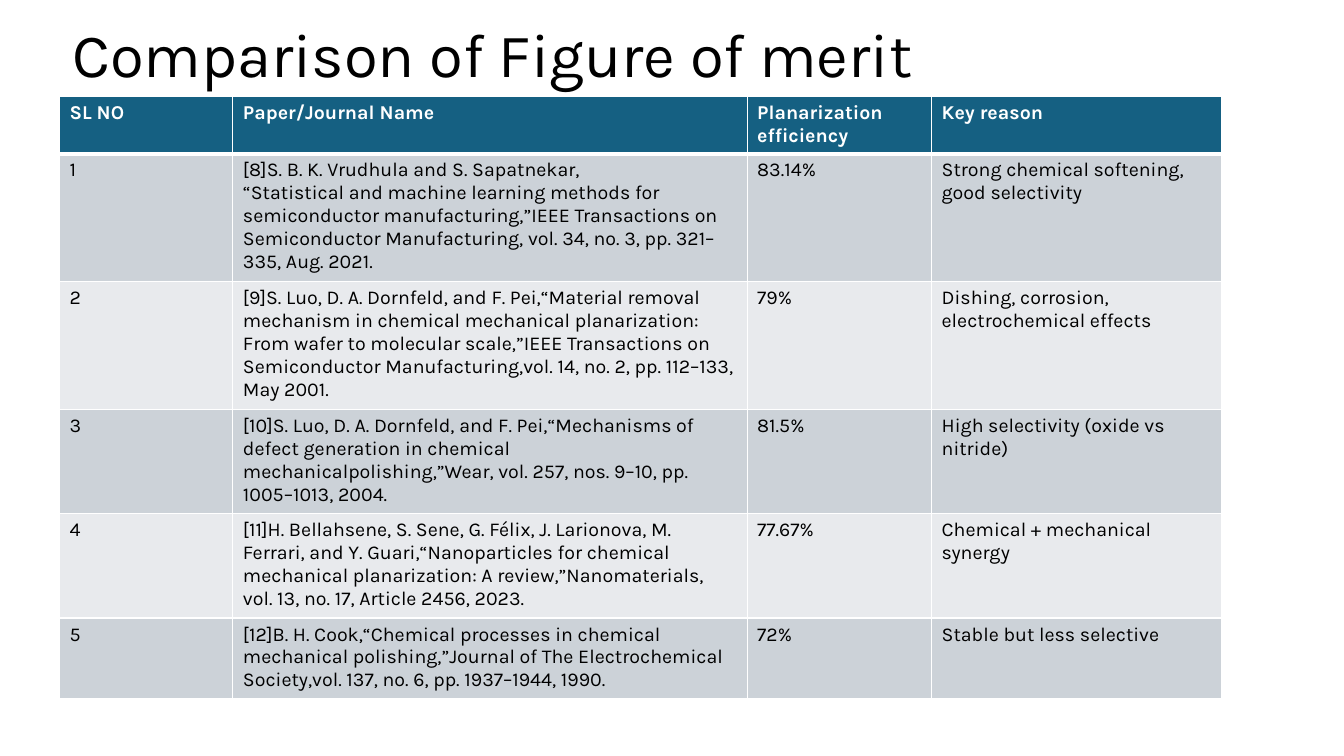
from lxml import etree
from pptx import Presentation
from pptx.dml.color import RGBColor
from pptx.enum.text import MSO_ANCHOR
from pptx.oxml.ns import qn
from pptx.util import Inches, Pt

BLACK = RGBColor(0x00, 0x00, 0x00)
WHITE = RGBColor(0xFF, 0xFF, 0xFF)
HEADER_BLUE = RGBColor(0x15, 0x60, 0x82)
BAND_DARK = RGBColor(0xCC, 0xD2, 0xD8)
BAND_LIGHT = RGBColor(0xE8, 0xEA, 0xED)

COLUMN_WIDTHS = [1.72, 5.1, 1.83, 2.88]
ROW_HEIGHTS = [0.54, 1.23, 1.23, 1.01, 1.01, 0.78]
HEADINGS = ["SL NO", "Paper/Journal Name", "Planarization efficiency", "Key reason"]
PAPERS = [
    ("[8]S. B. K. Vrudhula and S. Sapatnekar,\n“Statistical and machine learning methods for "
     "semiconductor manufacturing,”IEEE Transactions on Semiconductor Manufacturing, "
     "vol. 34, no. 3, pp. 321–335, Aug. 2021.",
     "83.14%", "Strong chemical softening, good selectivity"),
    ("[9]S. Luo, D. A. Dornfeld, and F. Pei,“Material removal mechanism in chemical mechanical "
     "planarization: From wafer to molecular scale,”IEEE Transactions on Semiconductor "
     "Manufacturing,vol. 14, no. 2, pp. 112–133, May 2001.",
     "79%", "Dishing, corrosion, electrochemical effects"),
    ("[10]S. Luo, D. A. Dornfeld, and F. Pei,“Mechanisms of defect generation in chemical "
     "mechanicalpolishing,”Wear, vol. 257, nos. 9–10, pp. 1005–1013, 2004.",
     "81.5%", "High selectivity (oxide vs nitride)"),
    ("[11]H. Bellahsene, S. Sene, G. Félix, J. Larionova, M. Ferrari, and Y. Guari,“Nanoparticles "
     "for chemical mechanical planarization: A review,”Nanomaterials, vol. 13, no. 17, "
     "Article 2456, 2023.",
     "77.67%", "Chemical + mechanical synergy"),
    ("[12]B. H. Cook,“Chemical processes in chemical mechanical polishing,”Journal of The "
     "Electrochemical Society,vol. 137, no. 6, pp. 1937–1944, 1990.",
     "72%", "Stable but less selective"),
]


def write(paragraph, text, size, color, bold=False):
    paragraph.text = text
    for run in paragraph.runs:
        run.font.name = "Karla"
        run.font.size = Pt(size)
        run.font.bold = bold
        run.font.color.rgb = color


def fill_cell(cell, color, bottom_width, top_width):
    cell.fill.solid()
    cell.fill.fore_color.rgb = color
    properties = cell._tc.get_or_add_tcPr()
    widths = {"a:lnL": 1, "a:lnR": 1, "a:lnT": top_width, "a:lnB": bottom_width}
    for position, (tag, width) in enumerate(widths.items()):
        line = etree.Element(qn(tag), w=str(Pt(width)))
        solid = etree.SubElement(line, qn("a:solidFill"))
        etree.SubElement(solid, qn("a:srgbClr"), val=str(WHITE))
        properties.insert(position, line)


prs = Presentation()
prs.slide_width, prs.slide_height = Inches(13.33), Inches(7.5)
slide = prs.slides.add_slide(prs.slide_layouts[6])

title = slide.shapes.add_textbox(Inches(0.62), Inches(-0.15), Inches(11.5), Inches(1.45)).text_frame
title.word_wrap = True
title.vertical_anchor = MSO_ANCHOR.MIDDLE
title.paragraphs[0].line_spacing = 0.9
write(title.paragraphs[0], "Comparison of Figure of merit", 44, BLACK)

rows = [HEADINGS] + [(str(number), *paper) for number, paper in enumerate(PAPERS, 1)]
table = slide.shapes.add_table(
    len(rows), len(HEADINGS), Inches(0.59), Inches(0.96),
    Inches(sum(COLUMN_WIDTHS)), Inches(sum(ROW_HEIGHTS))).table
for column, width in zip(table.columns, COLUMN_WIDTHS):
    column.width = Inches(width)

for r, (values, height) in enumerate(zip(rows, ROW_HEIGHTS)):
    table.rows[r].height = Inches(height)
    is_header = r == 0
    background = HEADER_BLUE if is_header else BAND_DARK if r % 2 else BAND_LIGHT
    for c, value in enumerate(values):
        cell = table.cell(r, c)
        fill_cell(cell, background, 3 if is_header else 1, 3 if r == 1 else 1)
        write(cell.text_frame.paragraphs[0], value, 14, WHITE if is_header else BLACK, is_header)

prs.save("out.pptx")
